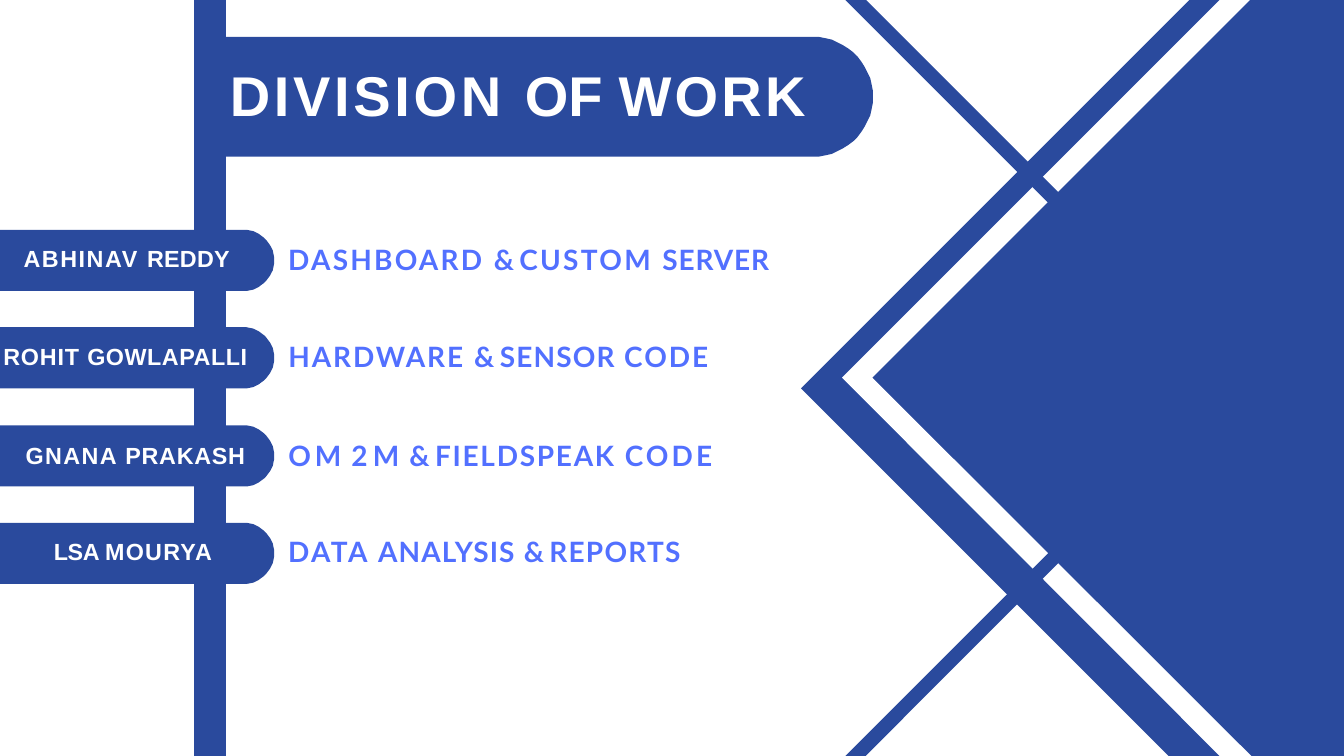
import math

import pptx
import pptx.dml.color
import pptx.enum.text
import pptx.util

PX = 9144  # one px is a hundredth of an inch
WIDTH, HEIGHT = 2000, 1125
COLORS = {"navy": "2A4A9D", "white": "FFFFFF", "blue": "5270FF"}
STYLES = {
    "title": {"name": "Arial", "size": 60, "color": "white"},
    "name": {"name": "Arial", "size": 25, "color": "white"},
    "task": {"name": "Lato", "size": 30, "color": "blue"},
}
TAB_TOP, TAB_STEP, TAB_HEIGHT, TAB_RIGHT = 342, 145.33, 91, 408
TASK_LEFT = 428

# Each run is (text, letter spacing in points).
TITLE = [("DIVISION ", 4), ("OF ", 0.2), ("WORK", 3.5)]

# Name box (left, top, width), name runs, task box (top, width), task runs.
MEMBERS = [
    ((34, 363, 312), [("ABHINAV ", 1.7), ("REDDY", 0.3)],
     (360, 763), [("DASHBOARD ", 2.4), ("& ", -1.6), ("CUSTOM ", 2.5), ("SERVER", 1)]),
    ((4, 508, 370), [("ROHIT ", 0.9), ("GOWLAPALLI", 0.6)],
     (505, 675), [("HARDWARE ", 2.1), ("& ", -1.6), ("SENSOR ", 1.3), ("CODE", 2.2)]),
    ((37, 655, 332), [("GNANA ", 1.6), ("PRAKASH", 0.8)],
     (652, 668), [("O", 4.2), ("M ", 1.8), ("2 ", -1.8), ("M ", 1.8), ("& ", -1.6),
                  ("FIELDSPEAK ", 1.9), ("COD", 3.3), ("E", -1.2)]),
    ((79, 799, 248), [("LSA ", -0.3), ("MOURYA", 1.4)],
     (795, 654), [("DATA ", 2.5), ("ANALYSIS ", 1.2), ("& ", -1.6), ("REPORTS", 1.4)]),
]


def rgb(name):
    return pptx.dml.color.RGBColor.from_string(COLORS[name])


def tab_outline(left, top, right, height):
    """Return the outline of a bar whose right end is a half circle."""
    radius = height / 2
    center_x, center_y = right - radius, top + radius
    angles = [math.radians(degrees) for degrees in range(-90, 91, 6)]
    arc = [(center_x + radius * math.cos(angle), center_y + radius * math.sin(angle))
           for angle in angles]
    return [(left, top), *arc, (left, top + height)]


def add_outline(shapes, outlines, color):
    """Draw one filled freeform made of one or more closed outlines."""
    builder = shapes.build_freeform(*outlines[0][0], scale=PX)
    for index, outline in enumerate(outlines):
        if index:
            builder.move_to(*outline[0])
        builder.add_line_segments(outline[1:], close=True)
    shape = builder.convert_to_shape()
    shape.shadow.inherit = False
    shape.fill.solid()
    shape.fill.fore_color.rgb = rgb(color)
    shape.line.fill.background()


def add_text(slide, box, runs, style):
    text_box = slide.shapes.add_textbox(*(length * PX for length in box))
    frame = text_box.text_frame
    frame_format = {
        "margin_left": PX, "margin_top": PX, "margin_right": 0, "margin_bottom": 0,
        "word_wrap": True,
        "auto_size": pptx.enum.text.MSO_AUTO_SIZE.SHAPE_TO_FIT_TEXT,
    }
    for attribute, value in frame_format.items():
        setattr(frame, attribute, value)
    font_format = {
        "name": STYLES[style]["name"],
        "size": pptx.util.Pt(STYLES[style]["size"]),
        "bold": True,
    }
    for text, spacing in runs:
        run = frame.paragraphs[0].add_run()
        run.text = text
        for attribute, value in font_format.items():
            setattr(run.font, attribute, value)
        run.font.color.rgb = rgb(STYLES[style]["color"])
        run._r.get_or_add_rPr().set("spc", str(round(spacing * 100)))


def add_decoration(slide):
    """Draw the right-hand arrow, its white chevron, the thin bands and title bar."""
    shapes = slide.shapes.add_group_shape().shapes
    arrow = [(WIDTH, HEIGHT), (1739, HEIGHT), (1192, 578), (1770, 0), (WIDTH, 0)]
    chevron = [(1253, 562), (1815, 0), (1860, 0), (1298, 562),
               (1862, HEIGHT), (1815, HEIGHT)]
    lower_band = [(WIDTH, 1093), (1645, 738), (1258, HEIGHT), (1288, HEIGHT),
                  (1645, 768), (WIDTH, 1123)]
    upper_band = [(WIDTH, 1), (1645, 356), (1289, 0), (1258, 0),
                  (1645, 387), (WIDTH, 32)]
    add_outline(shapes, [arrow], "navy")
    add_outline(shapes, [chevron], "white")
    add_outline(shapes, [tab_outline(313, 55, 1299, 178), lower_band, upper_band], "navy")


def main():
    presentation = pptx.Presentation()
    presentation.slide_width = WIDTH * PX
    presentation.slide_height = HEIGHT * PX
    slide = presentation.slides.add_slide(presentation.slide_layouts[6])

    stripe = [(288, 0), (337, 0), (337, HEIGHT), (288, HEIGHT)]
    add_outline(slide.shapes, [stripe], "navy")
    add_decoration(slide)
    add_text(slide, (341, 89, 862, 103), TITLE, "title")

    tabs = [tab_outline(0, round(TAB_TOP + row * TAB_STEP), TAB_RIGHT, TAB_HEIGHT)
            for row in range(len(MEMBERS))]
    add_outline(slide.shapes, tabs, "navy")
    for name_box, name, (task_top, task_width), task in MEMBERS:
        add_text(slide, (*name_box, 44), name, "name")
        add_text(slide, (TASK_LEFT, task_top, task_width, 53), task, "task")

    presentation.save("out.pptx")


if __name__ == "__main__":
    main()
